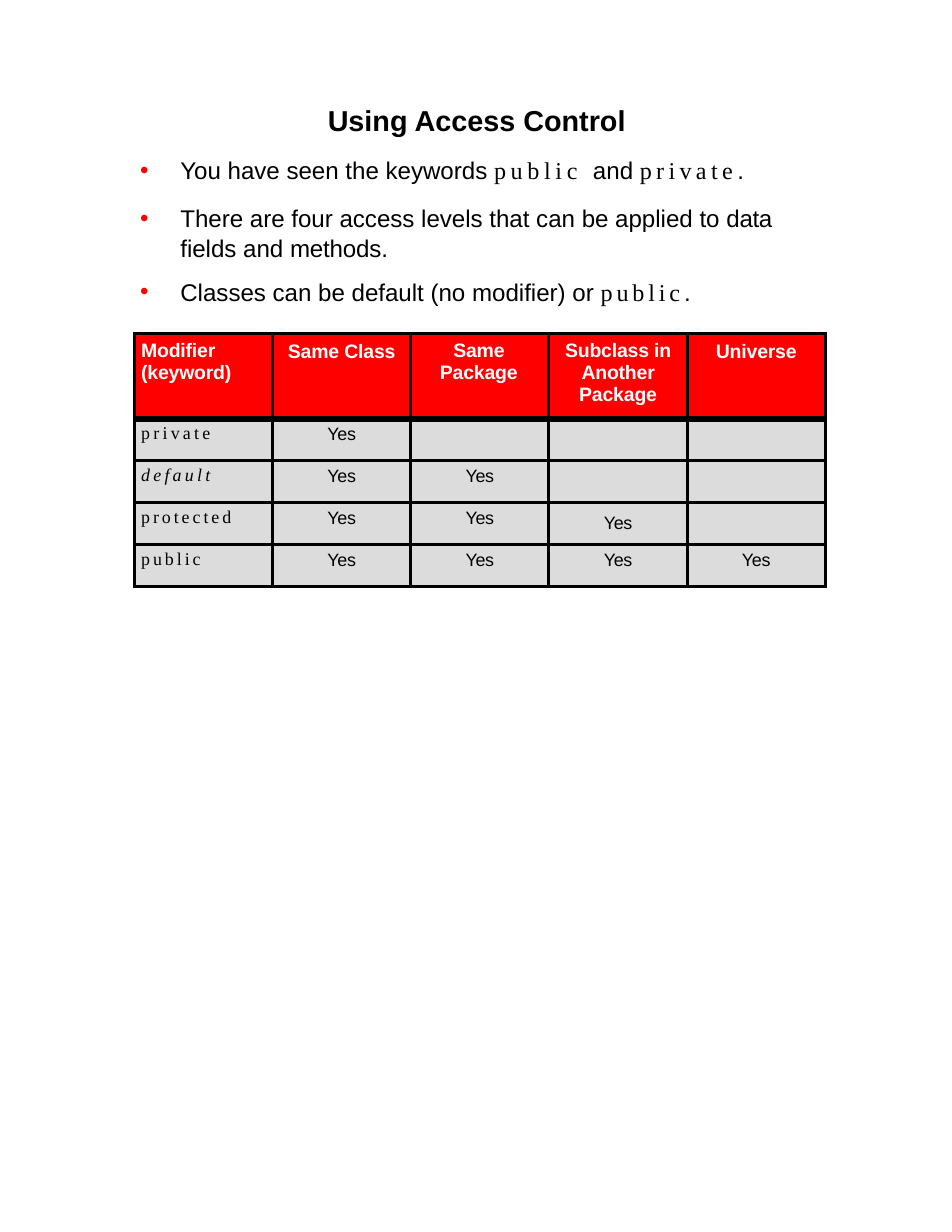
from lxml import etree
from pptx import Presentation
from pptx.dml.color import RGBColor
from pptx.enum.text import MSO_ANCHOR, MSO_AUTO_SIZE, PP_ALIGN
from pptx.oxml.ns import qn
from pptx.util import Inches, Pt

LEFT, CENTER = PP_ALIGN.LEFT, PP_ALIGN.CENTER
TOP = MSO_ANCHOR.TOP
NO_AUTOFIT = MSO_AUTO_SIZE.NONE

SANS, KEYWORD = "Arial", "Times New Roman"
BLACK, WHITE, RED, GRAY = "000000", "FFFFFF", "FF0000", "DCDCDC"

BULLETS = [
    (0, 1, [("You have seen the keywords ", SANS, 0), ("public ", KEYWORD, 3),
            ("and ", SANS, 0), ("private", KEYWORD, 2.8), (".", SANS, 2.8)]),
    (12.1, 1.01, [("There are four access levels that can be applied to ", SANS, 0),
                  ("data ", SANS, -0.2), ("fields and ", SANS, 0),
                  ("methods.", SANS, -0.1)]),
    (9.8, 1, [("Classes can be default (no modifier) or ", SANS, 0),
              ("public", KEYWORD, 2.5), (".", SANS, 2.5)]),
]
HEADERS = [
    ("Modifier (keyword)", LEFT, 0.05, 0.06, 0),
    ("Same Class", CENTER, 0.06, 0, 0),
    ("Same Package", LEFT, 0.05, 0.26, 0.12),
    ("Subclass in Another Package", CENTER, 0.05, 0, 0),
    ("Universe", CENTER, 0.06, 0, 0),
]
ACCESS = [("private", 1, 2.1), ("default", 2, 2.1),
          ("protected", 3, 1.9), ("public", 4, 1.9)]


def color(value):
    return RGBColor.from_string(value)


class AccessSlide:
    def __init__(self, deck):
        self.slide = deck.slides.add_slide(deck.slide_layouts[1])

    def style(self, run, size, font=SANS, ink=BLACK, bold=False, italic=False, spacing=0):
        run.font.size = Pt(size)
        run.font.name = font
        run.font.color.rgb = color(ink)
        run.font.bold = bold
        run.font.italic = italic
        run.font._element.set("spc", str(round(spacing * 100)))

    def indent(self, paragraph, left, first):
        properties = paragraph._p.get_or_add_pPr()
        properties.set("marL", str(Inches(left)))
        properties.set("indent", str(Inches(first)))
        return properties

    def place(self, holder, left, top, width, height):
        holder.left, holder.top = Inches(left), Inches(top)
        holder.width, holder.height = Inches(width), Inches(height)
        frame = holder.text_frame
        frame.margin_left = frame.margin_top = frame.margin_right = frame.margin_bottom = 0
        frame.vertical_anchor = TOP
        frame.word_wrap = True
        frame.auto_size = NO_AUTOFIT
        return frame

    def title(self, text, *box):
        frame = self.place(self.slide.shapes.title, *box)
        frame.text = text
        heading = frame.paragraphs[0]
        heading.alignment = CENTER
        self.style(heading.runs[0], 18.5, bold=True)

    def bullets(self, items, *box):
        frame = self.place(self.slide.placeholders[1], *box)
        for index, (before, lines, parts) in enumerate(items):
            point = frame.paragraphs[0] if index == 0 else frame.add_paragraph()
            properties = self.indent(point, 0.37, -0.36)
            bullet_color = etree.SubElement(properties, qn("a:buClr"))
            etree.SubElement(bullet_color, qn("a:srgbClr"), val=RED)
            etree.SubElement(properties, qn("a:buChar"), char="•")
            point.space_before = Pt(before)
            point.line_spacing = float(lines)
            for text, font, spacing in parts:
                run = point.add_run()
                run.text = text
                self.style(run, 15.5, font, spacing=spacing)

    def cell(self, cell, fill, top=2.25, bottom=2.25):
        properties = cell._tc.get_or_add_tcPr()
        for side, width in (("L", 2.25), ("R", 2.25), ("T", top), ("B", bottom)):
            line = etree.SubElement(properties, qn(f"a:ln{side}"), w=str(Pt(width)))
            solid = etree.SubElement(line, qn("a:solidFill"))
            etree.SubElement(solid, qn("a:srgbClr"), val=BLACK)
        cell.fill.solid()
        cell.fill.fore_color.rgb = color(fill)
        cell.margin_left = cell.margin_top = cell.margin_right = cell.margin_bottom = 0

    def entry(self, cell, text, align, inset, left, first, size, **look):
        cell.margin_top = Inches(inset)
        cell.text = text
        paragraph = cell.text_frame.paragraphs[0]
        self.indent(paragraph, left, first)
        paragraph.alignment = align
        self.style(paragraph.runs[0], size, **look)
        return paragraph

    def table(self, headers, rows, left, top, width, height, header_height):
        table = self.slide.shapes.add_table(
            len(rows) + 1, len(headers), Inches(left), Inches(top),
            Inches(width), Inches(height)).table
        table.horz_banding = False
        for column in table.columns:
            column.width = Inches(width / len(headers))
        for row in table.rows:
            row.height = Inches((height - header_height) / len(rows))
        table.rows[0].height = Inches(header_height)

        for column, (text, align, inset, indent, first) in enumerate(headers):
            cell = table.cell(0, column)
            self.cell(cell, RED, bottom=4.5)
            label = self.entry(cell, text, align, inset, indent, first, 12.5,
                               ink=WHITE, bold=True, spacing=-0.1)
            label.line_spacing = 1.02

        for row, (modifier, reach, spacing) in enumerate(rows, 1):
            for column in range(len(headers)):
                cell = table.cell(row, column)
                self.cell(cell, GRAY, top=4.5 if row == 1 else 2.25)
                if column == 0:
                    self.entry(cell, modifier, LEFT, 0.04, 0.06, 0, 11.5, font=KEYWORD,
                               italic=modifier == "default", spacing=spacing)
                elif column <= reach:
                    inset = 0.09 if (modifier, column) == ("protected", 3) else 0.05
                    self.entry(cell, "Yes", CENTER, inset, 0, 0, 11.5, spacing=-0.2)


def main():
    deck = Presentation()
    deck.slide_width, deck.slide_height = Inches(8.5), Inches(11)
    page = AccessSlide(deck)
    page.title("Using Access Control", 1.49, 0.92, 5.53, 0.3)
    page.bullets(BULLETS, 1.24, 1.39, 5.78, 1.34)
    page.table(HEADERS, ACCESS, 1.2, 2.98, 6.17, 2.26, 0.76)
    deck.save("out.pptx")


if __name__ == "__main__":
    main()
